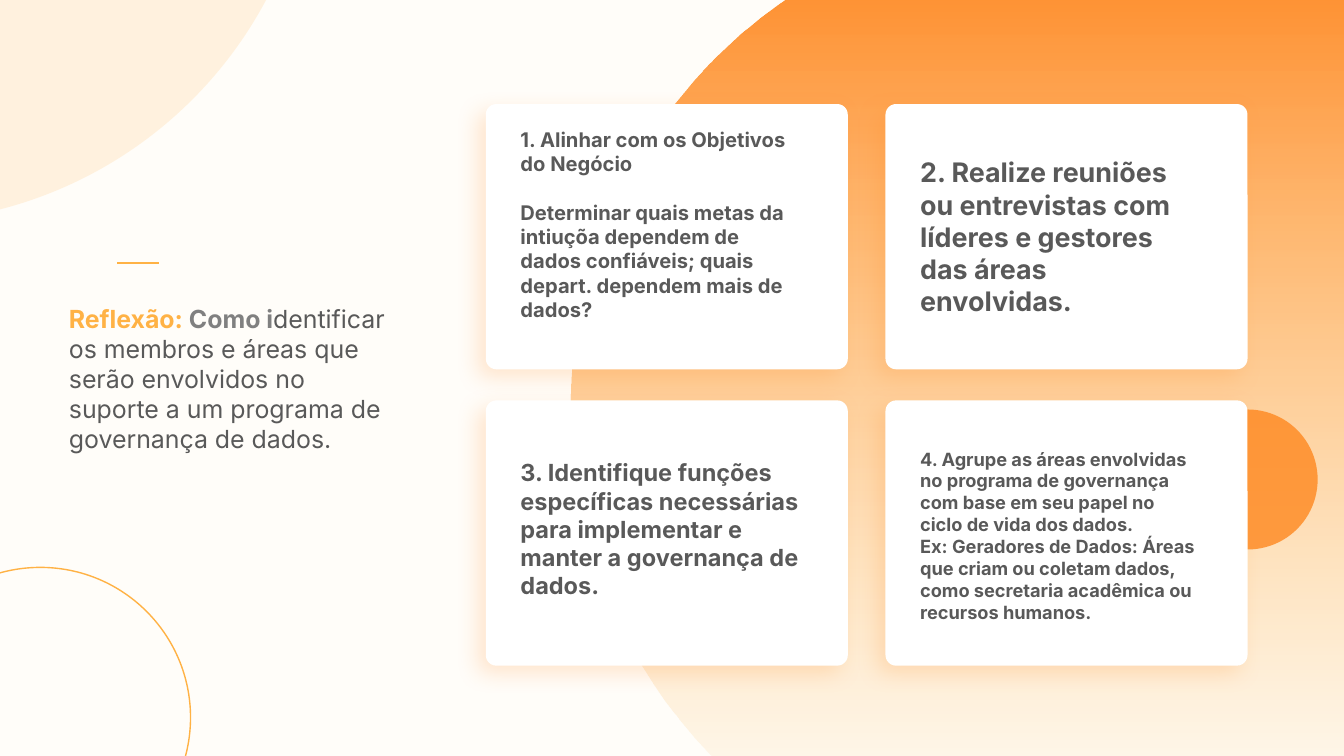
"""Builds the slide on identifying who joins a data governance programme."""
from dataclasses import dataclass
from math import cos, radians, sin, tan

from lxml import etree
from pptx import Presentation
from pptx.dml.color import RGBColor
from pptx.enum.shapes import MSO_CONNECTOR, MSO_SHAPE
from pptx.enum.text import MSO_ANCHOR, MSO_AUTO_SIZE, PP_ALIGN
from pptx.oxml.ns import qn
from pptx.util import Pt

ELLIPSE, CARD = MSO_SHAPE.OVAL, MSO_SHAPE.ROUNDED_RECTANGLE
STRAIGHT = MSO_CONNECTOR.STRAIGHT
MIDDLE, BOTTOM = MSO_ANCHOR.MIDDLE, MSO_ANCHOR.BOTTOM
LEFT, NO_FIT = PP_ALIGN.LEFT, MSO_AUTO_SIZE.NONE
WIDTH, HEIGHT = 960, 540


@dataclass(frozen=True)
class Theme:
    font: str = "Inter"
    background: str = "FFFDF9"
    orange: str = "FF881F"
    amber: str = "FFB245"
    white: str = "FFFFFF"
    grey: str = "808080"
    text: str = "595959"
    title_size: float = 17.8
    card_sizes: tuple = (14.4, 19.2, 16.8, 13)


class SlideBuilder:
    def __init__(self, s, theme):
        self.s, self.theme = s, theme
        fill = s.background.fill
        fill.solid()
        fill.fore_color.rgb = RGBColor.from_string(theme.background)

    def paint(self, sp, colors, alphas=()):
        sp.shadow.inherit = False
        if len(colors) == 1:
            sp.fill.solid()
            sp.fill.fore_color.rgb = RGBColor.from_string(colors[0])
        else:
            sp.fill.gradient()
            sp.fill.gradient_angle = 270
            for stop, color in zip(sp.fill.gradient_stops, colors):
                stop.color.rgb = RGBColor.from_string(color)
        for clr, alpha in zip(sp._element.spPr.iter(qn("a:srgbClr")), alphas):
            etree.SubElement(clr, qn("a:alpha"), val=str(alpha * 1000))
        sp.line.fill.background()

    def stroke(self, sp, color, width):
        sp.line.color.rgb = RGBColor.from_string(color)
        sp.line.width = Pt(width)

    def arc(self, cx, cy, r, degrees, corners=(), close=True):
        angles = [radians(d) for d in degrees]
        ends = [(min(max(cx + r * cos(a), 0), WIDTH), min(max(cy + r * sin(a), 0), HEIGHT))
                for a in angles]
        points = [(Pt(x), Pt(y)) for x, y in ends + list(corners)]
        builder = self.s.shapes.build_freeform(*points[0], scale=1)
        builder.add_line_segments(points[1:], close=close)
        sp = builder.convert_to_shape()
        segments = list(sp._element.spPr.iter(qn("a:lnTo")))
        for segment, a, b in zip(segments, angles, angles[1:]):
            reach = 4 / 3 * tan((b - a) / 4)
            controls = [(cos(a) - reach * sin(a), sin(a) + reach * cos(a)),
                        (cos(b) + reach * sin(b), sin(b) - reach * cos(b))]
            curve = etree.Element(qn("a:cubicBezTo"))
            for x, y in controls:
                etree.SubElement(curve, qn("a:pt"), x=str(Pt(cx + r * x) - sp.left),
                                 y=str(Pt(cy + r * y) - sp.top))
            curve.append(segment[0])
            segment.getparent().replace(segment, curve)
        return sp

    def ring(self, color, width, *arc):
        sp = self.arc(*arc, close=False)
        sp.shadow.inherit = False
        sp.fill.background()
        self.stroke(sp, color, width)

    def shape(self, kind, x, y, w, h, color, alphas=()):
        sp = self.s.shapes.add_shape(kind, Pt(x), Pt(y), Pt(w), Pt(h))
        self.paint(sp, [color], alphas)
        return sp

    def card(self, x, y, w, h):
        sp = self.shape(CARD, x, y, w, h, self.theme.white)
        sp.adjustments[0] = 0.04
        effects = sp._element.spPr.find(qn("a:effectLst"))
        shadow = etree.SubElement(effects, qn("a:outerShdw"), blurRad=str(Pt(16)),
                                  dist=str(Pt(8)), dir=str(135 * 60000), rotWithShape="0")
        clr = etree.SubElement(shadow, qn("a:srgbClr"), val=self.theme.orange)
        etree.SubElement(clr, qn("a:alpha"), val="20000")

    def line(self, x1, y1, x2, y2, color, width):
        sp = self.s.shapes.add_connector(STRAIGHT, Pt(x1), Pt(y1), Pt(x2), Pt(y2))
        self.stroke(sp, color, width)
        etree.SubElement(sp._element.spPr, qn("a:effectLst"))

    def run(self, p, text, size, color, bold):
        r = p.add_run()
        r.text = text
        r.font.name, r.font.size, r.font.bold = self.theme.font, Pt(size), bold
        r.font.color.rgb = RGBColor.from_string(color)

    def frame(self, sp, anchor):
        tf = sp.text_frame
        tf.word_wrap, tf.auto_size, tf.vertical_anchor = True, NO_FIT, anchor
        return tf

    def title(self, x, y, w, h, runs):
        sp = self.s.shapes.title
        sp.left, sp.top, sp.width, sp.height = Pt(x), Pt(y), Pt(w), Pt(h)
        p = self.frame(sp, BOTTOM).paragraphs[0]
        p.alignment = LEFT
        for text, color, bold in runs:
            self.run(p, text, self.theme.title_size, color, bold)

    def text(self, x, y, w, h, paragraphs, size, gap):
        sp = self.s.shapes.add_textbox(Pt(x), Pt(y), Pt(w), Pt(h))
        tf = self.frame(sp, MIDDLE)
        for i, text in enumerate(paragraphs):
            p = tf.add_paragraph() if i else tf.paragraphs[0]
            if i:
                p.space_before = Pt(gap)
            self.run(p, text, size, self.theme.text, True)


def main():
    theme = Theme()
    prs = Presentation()
    prs.slide_width, prs.slide_height = Pt(WIDTH), Pt(HEIGHT)
    b = SlideBuilder(prs.slides.add_slide(prs.slide_layouts[5]), theme)

    panel = b.arc(762.5, 292.3, 355, (135.75, 180, 235.42), [(WIDTH, 0), (WIDTH, HEIGHT)])
    b.paint(panel, [theme.orange, theme.amber], [90, 10])
    b.shape(ELLIPSE, 841.2, 292.5, 100, 100, theme.orange, [80])
    corner = b.arc(-74.9, -141.1, 300.2, (28.03, 75.55), [(0, 0)])
    b.paint(corner, [theme.amber], [15])
    b.line(83.8, 188, 113.8, 188, theme.amber, 1.5)
    b.ring(theme.amber, 1, 28.8, 512.6, 107.3, (254.43, 270, 360, 374.8))

    b.title(42, 199.5, 250.5, 128, [
        ("Reflexão: ", theme.amber, True),
        ("Como i", theme.grey, True),
        ("dentificar os membros e áreas que serão envolvidos no suporte a um "
         "programa de governança de dados.", theme.text, False),
    ])

    cards = [
        (["1. Alinhar com os Objetivos do Negócio",
          "Determinar quais metas da intiuçõa dependem de dados confiáveis; "
          "quais depart. dependem mais de dados?"], 152, -8.7, 17.3),
        (["2. Realize reuniões ou entrevistas com líderes e gestores das áreas "
          "envolvidas."], 120, 0, 0),
        (["3. Identifique funções específicas necessárias para implementar e "
          "manter a governança de dados."], 120, -3, 0),
        (["4. Agrupe as áreas envolvidas no programa de governança com base em "
          "seu papel no ciclo de vida dos dados.",
          "Ex: Geradores de Dados: Áreas que criam ou coletam dados, como "
          "secretaria acadêmica ou recursos humanos."], 158, 1.6, 0),
    ]
    card_w, card_h = 258.6, 189.5
    for i, (paragraphs, text_h, shift, gap) in enumerate(cards):
        row, col = divmod(i, 2)
        x, y = 347 + 285.5 * col, 74.3 + 211.7 * row
        b.card(x, y, card_w, card_h)
        b.text(x + 17.7, y + (card_h - text_h) / 2 + shift, 213, text_h,
               paragraphs, theme.card_sizes[i], gap)

    prs.save("out.pptx")


if __name__ == "__main__":
    main()
